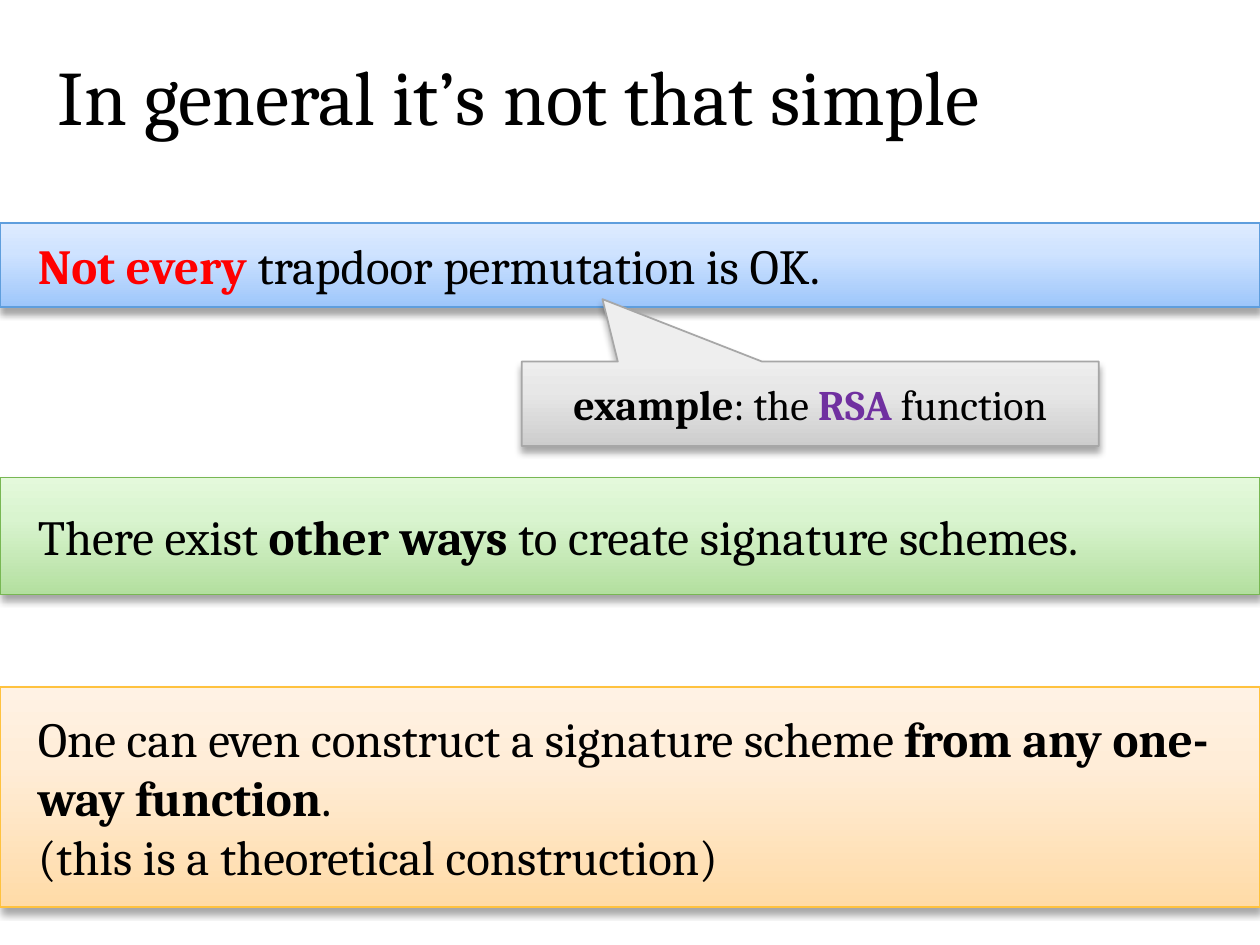
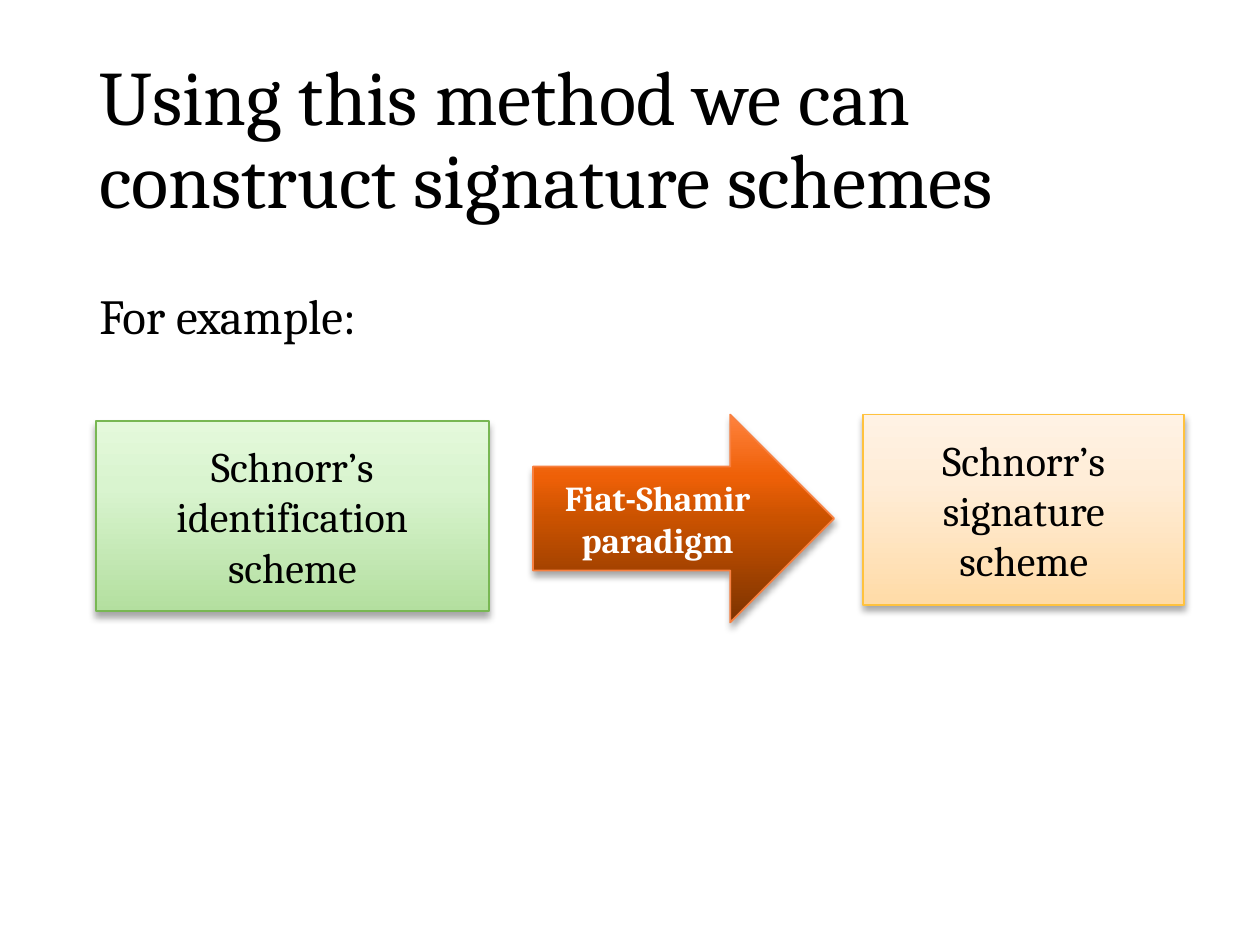
from dataclasses import dataclass

from lxml.etree import SubElement
from pptx import Presentation
from pptx.dml.color import RGBColor
from pptx.enum.shapes import MSO_SHAPE
from pptx.enum.text import MSO_ANCHOR, PP_ALIGN
from pptx.oxml.ns import qn
from pptx.util import Inches, Pt


@dataclass(frozen=True)
class Theme:
    font: str = "Cambria"
    title: int = 44
    body: int = 28
    label: int = 24
    small: int = 20
    ink: str = "000000"
    paper: str = "FFFFFF"
    warning: str = "FF0000"
    accent: str = "7030A0"
    leading: float = 0.9


@dataclass(frozen=True)
class Finish:
    line: str
    stops: tuple


THEME = Theme()
BLUE = Finish("5F9EDD", ((0, "9DC6FB"), (65, "CFE3FF"), (100, "DEEBFF")))
GREEN = Finish("78B753", ((0, "B3DF9F"), (65, "D9F4CF"), (100, "E4F9DB")))
CREAM = Finish("FFC23E", ((0, "FFDBA7"), (65, "FFEDD8"), (100, "FFF2E4")))
GREY = Finish("A7A7A7", ((0, "CDCDCD"), (65, "E7E7E7"), (100, "EEEEEE")))
ORANGE = Finish("F88040", ((0, "7D3300"), (50, "CA5200"), (70, "EE6007"), (100, "FF823D")))

COLUMNS, ROWS = 10, 7.5
TITLE_SIZE = (8.62, 1.45)
BAND_INSET = 0.3

BOLD = {"bold": True}
BANDS = [
    (5.45, 1.75, CREAM, [
        ("One can even construct a signature scheme ", {}),
        ("from any one-way function", BOLD),
        (".", {}),
        ("\n", {}),
        ("(this is a theoretical construction)", {}),
    ]),
    (3.79, 0.93, GREEN, [
        ("There exist ", {}), ("other ways ", BOLD), ("to create signature schemes.", {}),
    ]),
    (1.77, 0.67, BLUE, [
        ("Not every ", {"bold": True, "color": THEME.warning}),
        ("trapdoor permutation is OK.", {}),
    ]),
]
EXAMPLE = [
    ("example", BOLD), (": the ", {}),
    ("RSA ", {"bold": True, "color": THEME.accent}), ("function", {}),
]
SCHEMES = [
    ((0.76, 3.34, 3.12, 1.51), GREEN, "Schnorr’s identification scheme"),
    ((6.85, 3.29, 2.55, 1.51), CREAM, "Schnorr’s signature scheme"),
]
PARADIGM = ((4.23, 3.29, 2.39, 1.65), ORANGE, "Fiat-Shamir paradigm")


def write(box, spans, size, color=THEME.ink, bold=False, align=PP_ALIGN.LEFT,
          anchor=MSO_ANCHOR.MIDDLE, leading=None):
    frame = box.text_frame
    frame.word_wrap = True
    frame.vertical_anchor = anchor
    para = frame.paragraphs[0]
    para.alignment = align
    para.line_spacing = leading
    para.font.name = THEME.font
    para.font.size = Pt(size)
    mixed = any(style for _, style in spans)
    if not mixed:
        para.font.bold = bold
        para.font.color.rgb = RGBColor.from_string(color)
    for text, style in spans:
        if text == "\n":
            para.add_line_break()
            continue
        span = para.add_run()
        span.text = text
        if mixed:
            span.font.bold = style.get("bold", bold)
            span.font.color.rgb = RGBColor.from_string(style.get("color", color))


def add_text(page, area, text, size, anchor=MSO_ANCHOR.MIDDLE):
    box = page.shapes.add_textbox(*map(Inches, area))
    write(box, [(text, {})], size, anchor=anchor, leading=THEME.leading)


def add_title(page, left, top, text):
    add_text(page, (left, top, *TITLE_SIZE), text, THEME.title)


def add_color(parent, value):
    return SubElement(parent, qn("a:srgbClr"), val=value)


def add_panel(page, area, finish, preset=MSO_SHAPE.RECTANGLE):
    box = page.shapes.add_shape(preset, *map(Inches, area))
    box.line.color.rgb = RGBColor.from_string(finish.line)
    box.line.width = Pt(1)
    box.fill.gradient()
    box.fill.gradient_angle = 90
    properties = box.element.spPr
    stops = properties.find(qn("a:gradFill")).find(qn("a:gsLst"))
    for stop in list(stops):
        stops.remove(stop)
    for percent, color in finish.stops:
        add_color(SubElement(stops, qn("a:gs"), pos=str(percent * 1000)), color)
    box.shadow.inherit = False
    shadow = SubElement(properties.find(qn("a:effectLst")), qn("a:outerShdw"),
                        blurRad=str(Pt(4)), dist=str(Pt(3)), dir="5400000", rotWithShape="0")
    SubElement(add_color(shadow, THEME.ink), qn("a:alpha"), val="35000")
    return box


def build_general(page):
    for top, height, finish, spans in BANDS:
        band = add_panel(page, (0, top, COLUMNS, height), finish)
        band.text_frame.margin_left = band.text_frame.margin_right = Inches(BAND_INSET)
        write(band, spans, THEME.body)
    add_title(page, 0.36, 0.07, "In general it’s not that simple")
    callout = add_panel(page, (4.14, 2.87, 4.58, 0.67), GREY, MSO_SHAPE.RECTANGULAR_CALLOUT)
    callout.adjustments[0], callout.adjustments[1] = -0.36, -1.24
    write(callout, EXAMPLE, THEME.label, align=PP_ALIGN.CENTER)


def build_schemes(page):
    add_title(page, 0.69, 0.4, "Using this method we can construct signature schemes")
    add_text(page, (0.69, 2.27, 8.62, 0.91), "For example:", THEME.body, MSO_ANCHOR.TOP)
    for area, finish, text in SCHEMES:
        write(add_panel(page, area, finish), [(text, {})], THEME.label, align=PP_ALIGN.CENTER)
    area, finish, text = PARADIGM
    arrow = add_panel(page, area, finish, MSO_SHAPE.RIGHT_ARROW)
    write(arrow, [(text, {})], THEME.small, THEME.paper, True, PP_ALIGN.CENTER)


def main():
    deck = Presentation()
    deck.slide_width, deck.slide_height = Inches(COLUMNS), Inches(ROWS)
    for build in (build_general, build_schemes):
        build(deck.slides.add_slide(deck.slide_layouts[6]))
    deck.save("out.pptx")


if __name__ == "__main__":
    main()
